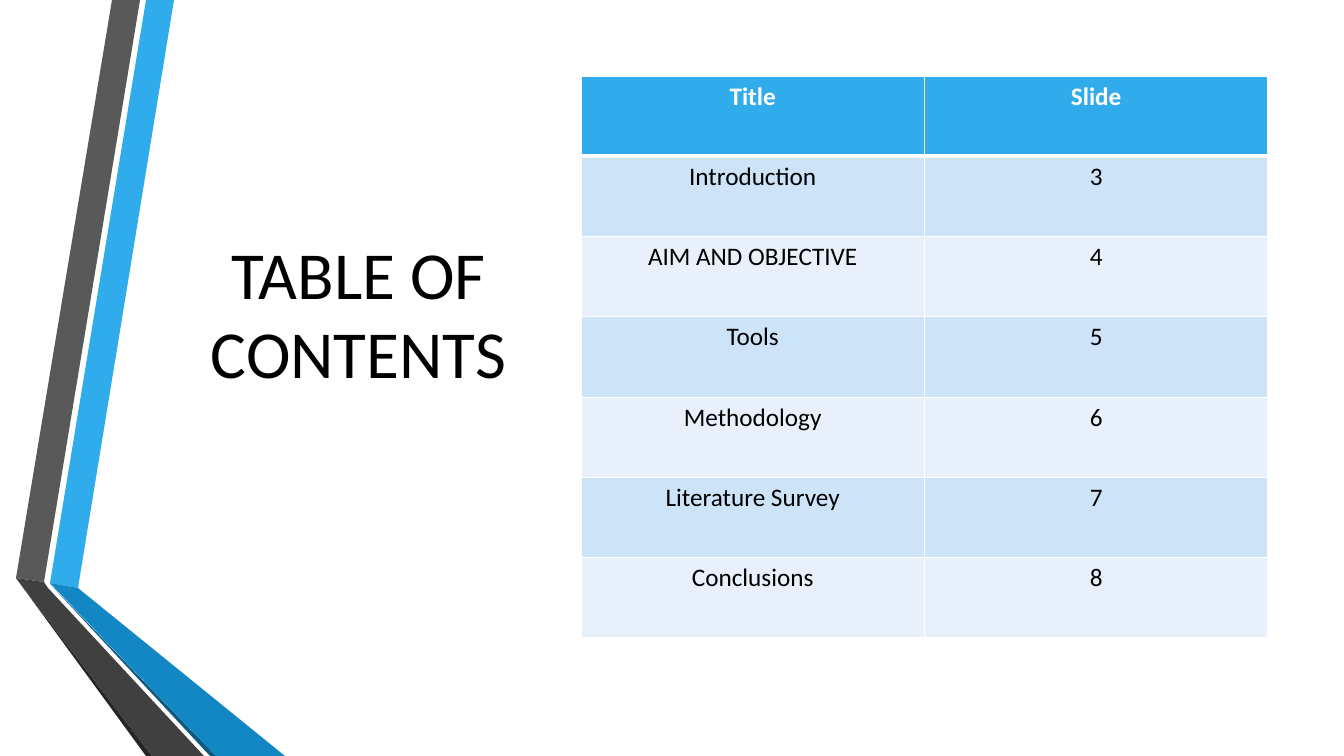
import lxml.etree
import pptx
import pptx.dml.color
import pptx.enum.text
import pptx.oxml.ns
import pptx.util

TITLE = "TABLE OF CONTENTS"
ROWS = [
    ("Title", "Slide"),
    ("Introduction", "3"),
    ("AIM AND OBJECTIVE", "4"),
    ("Tools", "5"),
    ("Methodology", "6"),
    ("Literature Survey", "7"),
    ("Conclusions", "8"),
]

THEME = {
    "font": "Calibri", "title_size": 48, "cell_size": 18,
    "text": "000000", "white": "FFFFFF",
    "blue": "30ACEC", "blue_fold": "1287C3", "blue_edge": "0C5A82",
    "grey": "595959", "grey_fold": "404040", "grey_edge": "262626",
    "bands": ("CDE3F8", "E8F1FB"),
    "thin_border": 1, "header_border": 3,
}

# Lengths are px, 100.8 to the inch.
PX = 914400 / 100.8
PAGE_SIZE = (1344, 756)
TITLE_BOX = (163, 234, 391, 162)
TABLE_BOX = (581, 76, 687, 562)
RIBBONS = [
    ("blue", [(50, 583), (78, 588), (174, 0), (146, 0)]),
    ("grey", [(140, 0), (112, 0), (16, 578), (44, 582)]),
    ("grey_edge", [(16, 578), (146, 756), (152, 756)]),
    ("blue_edge", [(50, 584), (210, 756), (216, 756)]),
    ("blue_fold", [(50, 583), (216, 756), (285, 756), (78, 588)]),
    ("grey_fold", [(204, 756), (48, 588), (44, 582), (16, 578), (152, 756)]),
]


def emu(*lengths):
    return [round(length * PX) for length in lengths]


def color(value):
    return pptx.dml.color.RGBColor.from_string(value)


def write(frame, text, *, size, fill, bold=False, spacing=None):
    para = frame.paragraphs[0]
    para.alignment = pptx.enum.text.PP_ALIGN.CENTER
    para.line_spacing = spacing
    span = para.add_run()
    span.text = text
    span.font.name = THEME["font"]
    span.font.size = pptx.util.Pt(size)
    span.font.bold = bold
    span.font.color.rgb = color(fill)


def add_ribbon(page, fill, points):
    builder = page.shapes.build_freeform(*points[0], scale=PX)
    builder.add_line_segments(points[1:], close=True)
    shape = builder.convert_to_shape()
    shape.shadow.inherit = False
    shape.fill.solid()
    shape.fill.fore_color.rgb = color(fill)
    shape.line.fill.background()


def add_title(page):
    box = page.shapes.add_textbox(*emu(*TITLE_BOX))
    frame = box.text_frame
    frame.word_wrap = True
    frame.vertical_anchor = pptx.enum.text.MSO_ANCHOR.MIDDLE
    frame.margin_top = frame.margin_bottom = 0
    write(frame, TITLE, size=THEME["title_size"], fill=THEME["text"], spacing=0.98)


def add_borders(cell, widths):
    """Draw white borders; widths maps L, R, T and B to points."""
    properties = cell._tc.get_or_add_tcPr()
    name = pptx.oxml.ns.qn
    for side, width in widths.items():
        line = lxml.etree.SubElement(
            properties, name("a:ln" + side), w=str(pptx.util.Pt(width)))
        solid = lxml.etree.SubElement(line, name("a:solidFill"))
        lxml.etree.SubElement(solid, name("a:srgbClr"), val=THEME["white"])


def add_contents(page):
    table = page.shapes.add_table(len(ROWS), len(ROWS[0]), *emu(*TABLE_BOX)).table
    width, height = TABLE_BOX[2:]
    for column in table.columns:
        column.width = emu(width / len(ROWS[0]))[0]
    for row in table.rows:
        row.height = emu(height / len(ROWS))[0]
    thin, thick = THEME["thin_border"], THEME["header_border"]
    for i, values in enumerate(ROWS):
        header = i == 0
        fill = THEME["blue"] if header else THEME["bands"][(i - 1) % 2]
        borders = {"L": thin, "R": thin,
                   "T": thick if i == 1 else thin,
                   "B": thick if header else thin}
        for j, value in enumerate(values):
            cell = table.cell(i, j)
            add_borders(cell, borders)
            cell.fill.solid()
            cell.fill.fore_color.rgb = color(fill)
            write(cell.text_frame, value, size=THEME["cell_size"], bold=header,
                  fill=THEME["white"] if header else THEME["text"])


def main():
    deck = pptx.Presentation()
    deck.slide_width, deck.slide_height = emu(*PAGE_SIZE)
    page = deck.slides.add_slide(deck.slide_layouts[6])
    page.background.fill.solid()
    page.background.fill.fore_color.rgb = color(THEME["white"])
    for fill, points in RIBBONS:
        add_ribbon(page, THEME[fill], points)
    add_title(page)
    add_contents(page)
    deck.save("out.pptx")


if __name__ == "__main__":
    main()
